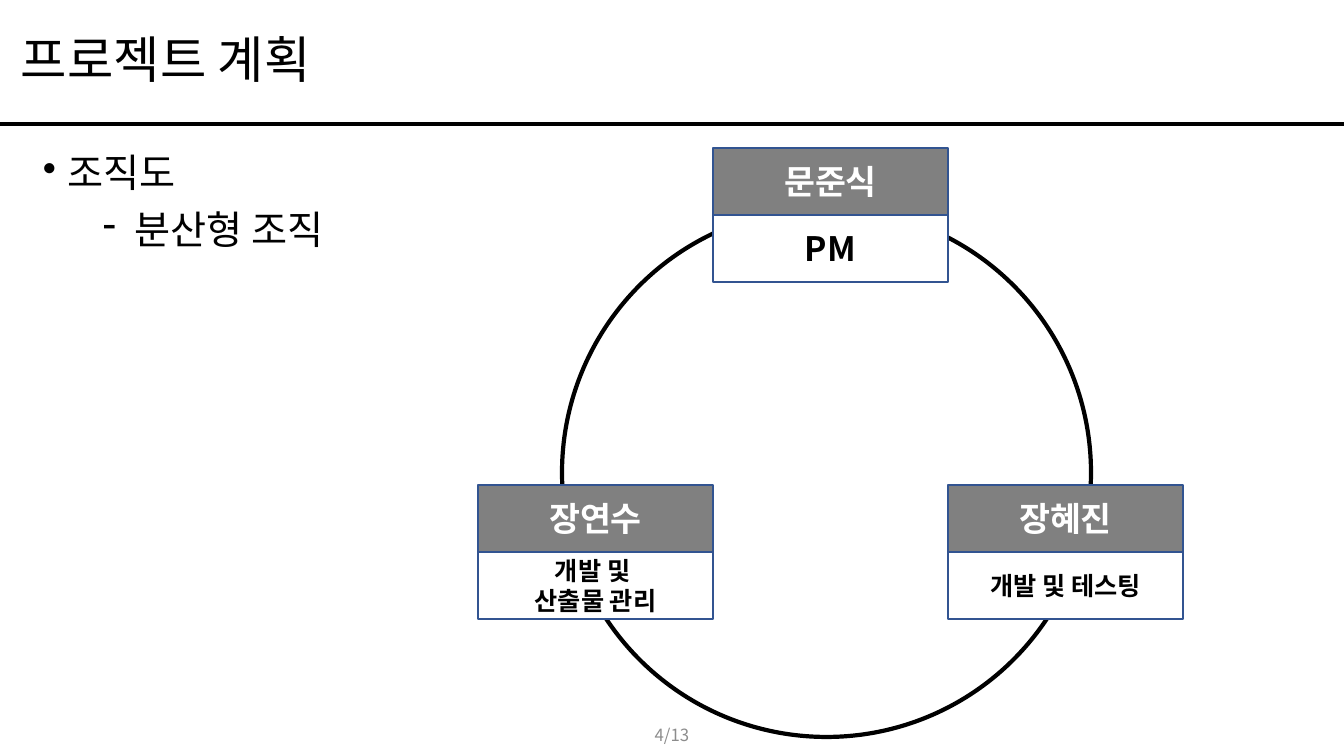
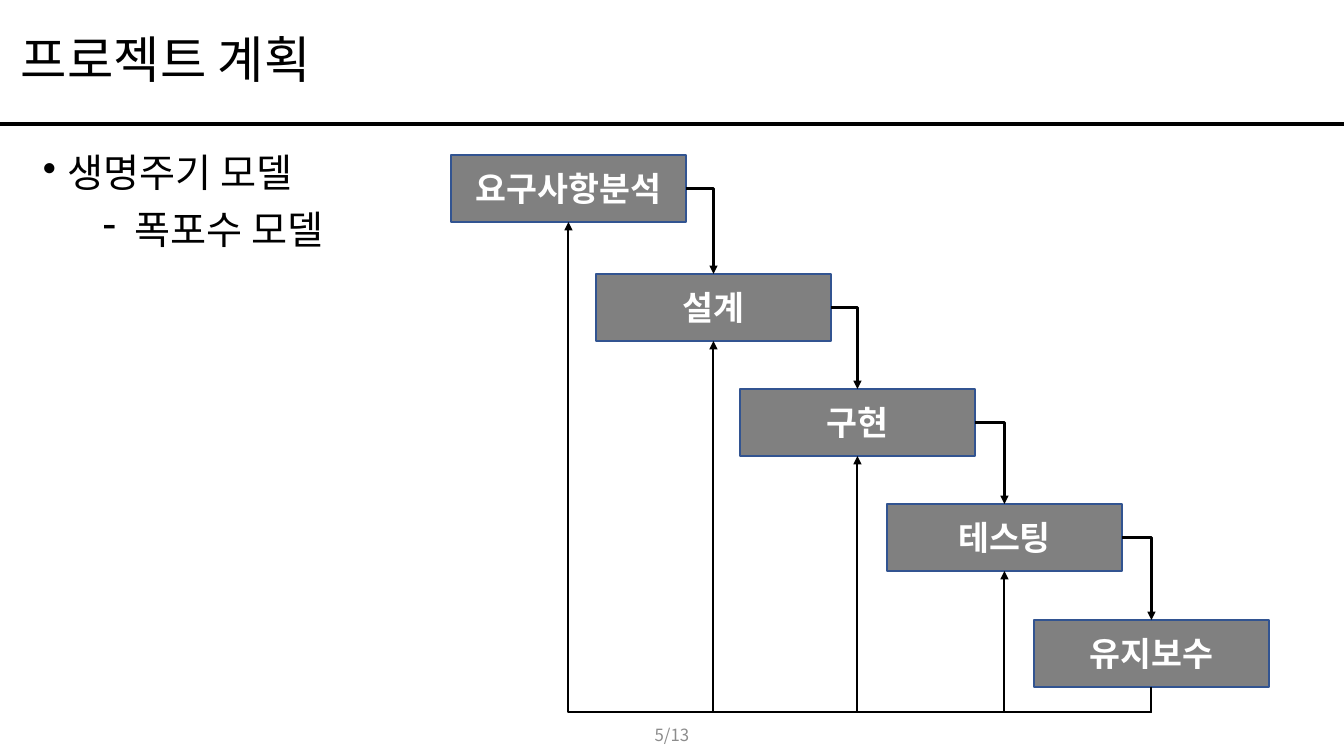
from lxml import etree
from pptx import Presentation
from pptx.dml.color import RGBColor
from pptx.enum.shapes import MSO_CONNECTOR as CONN, MSO_SHAPE as SHAPE
from pptx.enum.text import MSO_ANCHOR as ANCHOR, PP_ALIGN as ALIGN
from pptx.oxml.ns import qn
from pptx.util import Pt

PX = 9071  # EMU per px, 100.8 px to the inch
FONT = "Noto Sans CJK KR"
COLORS = {
    "black": "000000",
    "white": "FFFFFF",
    "gray": "808080",
    "border": "325491",
    "footer": "8C8C8C",
}
RGB = {name: RGBColor.from_string(value) for name, value in COLORS.items()}
BOX_W, BOX_H = 235, 67


def write(p, text, size, color="black", bold=False, align=ALIGN.LEFT):
    """Fill a paragraph and set its font for Latin and Korean letters."""
    p.text = text
    p.alignment = align
    p.font.size = Pt(size)
    p.font.bold = bold
    p.font.name = FONT
    p.font.color.rgb = RGB[color]
    etree.SubElement(p._p.pPr.find(qn("a:defRPr")), qn("a:ea"), typeface=FONT)


def add_box(s, x, y, text, size=24, fill="gray", color="white"):
    sp = s.shapes.add_shape(SHAPE.RECTANGLE, x * PX, y * PX, BOX_W * PX, BOX_H * PX)
    sp.shadow.inherit = False
    sp.fill.solid()
    sp.fill.fore_color.rgb = RGB[fill]
    sp.line.color.rgb = RGB["border"]
    sp.line.width = Pt(1)
    tf = sp.text_frame
    tf.vertical_anchor = ANCHOR.MIDDLE
    write(tf.paragraphs[0], text, size, color, True, ALIGN.CENTER)


prs = Presentation()
prs.slide_width, prs.slide_height = 1344 * PX, 756 * PX
title_only = prs.slide_layouts[5]
rules, arrows = [], []

# Shared frame: title, rule, two-level outline, page number
for topic, detail, page in [
    ("조직도", "분산형 조직", "4/13"),
    ("생명주기 모델", "폭포수 모델", "5/13"),
]:
    s = prs.slides.add_slide(title_only)
    title = s.shapes.title
    title.left, title.top, title.width, title.height = 0, 0, 1344 * PX, 124 * PX
    tf = title.text_frame
    tf.vertical_anchor = ANCHOR.MIDDLE
    tf.margin_left = 21 * PX
    write(tf.paragraphs[0], "프로젝트 계획", 36)
    tf.paragraphs[0].line_spacing = 0.9

    rules.append(s.shapes.add_connector(CONN.STRAIGHT, 0, 124 * PX, 1344 * PX, 124 * PX))

    outline = s.shapes.add_textbox(33 * PX, 149 * PX, 1159 * PX, 480 * PX)
    tf = outline.text_frame
    tf.word_wrap = True
    for i, (text, bullet, left, hang) in enumerate(
        [(topic, "•", 25, 25), (detail, "-", 92, 32)]
    ):
        p = tf.add_paragraph() if i else tf.paragraphs[0]
        write(p, text, 28)
        p.line_spacing = 0.9
        p.space_before = Pt(10)
        pPr = p._p.pPr
        pPr.set("marL", str(left * PX))
        pPr.set("indent", str(-hang * PX))
        mark = etree.Element(qn("a:buChar"), char=bullet)
        pPr.find(qn("a:defRPr")).addprevious(mark)

    number = s.shapes.add_textbox(521 * PX, 715 * PX, 302 * PX, 40 * PX)
    tf = number.text_frame
    tf.word_wrap = True
    tf.vertical_anchor = ANCHOR.MIDDLE
    write(tf.paragraphs[0], page, 12, "footer", align=ALIGN.CENTER)

team_slide, model_slide = prs.slides

# Team ring
ring = team_slide.shapes.add_shape(SHAPE.OVAL, 562 * PX, 208 * PX, 529 * PX, 529 * PX)
ring.shadow.inherit = False
ring.fill.background()
ring.line.color.rgb = RGB["black"]
ring.line.width = Pt(3)
for x, y, name, role, size in [
    (713, 148, "문준식", "PM", 24),
    (948, 485, "장혜진", "개발 및 테스팅", 18),
    (478, 485, "장연수", "개발 및 \n산출물 관리", 18),
]:
    add_box(team_slide, x, y, name)
    add_box(team_slide, x, y + BOX_H, role, size, "white", "black")

# Waterfall steps
steps = [
    (451, 155, "요구사항분석"),
    (596, 274, "설계"),
    (740, 389, "구현"),
    (887, 504, "테스팅"),
    (1034, 620, "유지보수"),
]
for x, y, text in steps:
    add_box(model_slide, x, y, text)

# Forward arrows: right, then down to the next step
for (x, y, _), (next_x, next_y, _) in zip(steps, steps[1:]):
    arrow = model_slide.shapes.add_connector(
        CONN.ELBOW,
        (x + BOX_W) * PX,
        y * PX + BOX_H * PX // 2,
        next_x * PX + BOX_W * PX // 2,
        next_y * PX,
    )
    arrow.element.spPr.find(qn("a:prstGeom")).set("prst", "bentConnector2")
    arrows.append(arrow)

# Feedback arrows: below the last step, left, then up to each earlier step
last_x, last_y, _ = steps[-1]
drop = 25
for x, y, _ in steps[:-1]:
    run, rise = last_x - x, last_y - y
    mid_x = (x + last_x + BOX_W) * PX // 2
    mid_y = (y + last_y + 2 * BOX_H) * PX // 2
    half_w, half_h = rise * PX // 2, run * PX // 2
    arrow = model_slide.shapes.add_connector(
        CONN.ELBOW, mid_x + half_w, mid_y - half_h, mid_x - half_w, mid_y + half_h
    )
    spPr = arrow.element.spPr
    spPr.find(qn("a:xfrm")).set("rot", "5400000")
    guides = spPr.find(qn("a:prstGeom")).find(qn("a:avLst"))
    bend = round(-drop / rise * 100000)
    etree.SubElement(guides, qn("a:gd"), name="adj1", fmla=f"val {bend}")
    arrows.append(arrow)

for line in rules + arrows:
    line.line.color.rgb = RGB["black"]
    line.line.width = Pt(2.25 if line in rules else 1.5)
    etree.SubElement(line.element.spPr, qn("a:effectLst"))
for arrow in arrows:
    ln = arrow.element.spPr.find(qn("a:ln"))
    etree.SubElement(ln, qn("a:tailEnd"), type="triangle")

prs.save("out.pptx")
